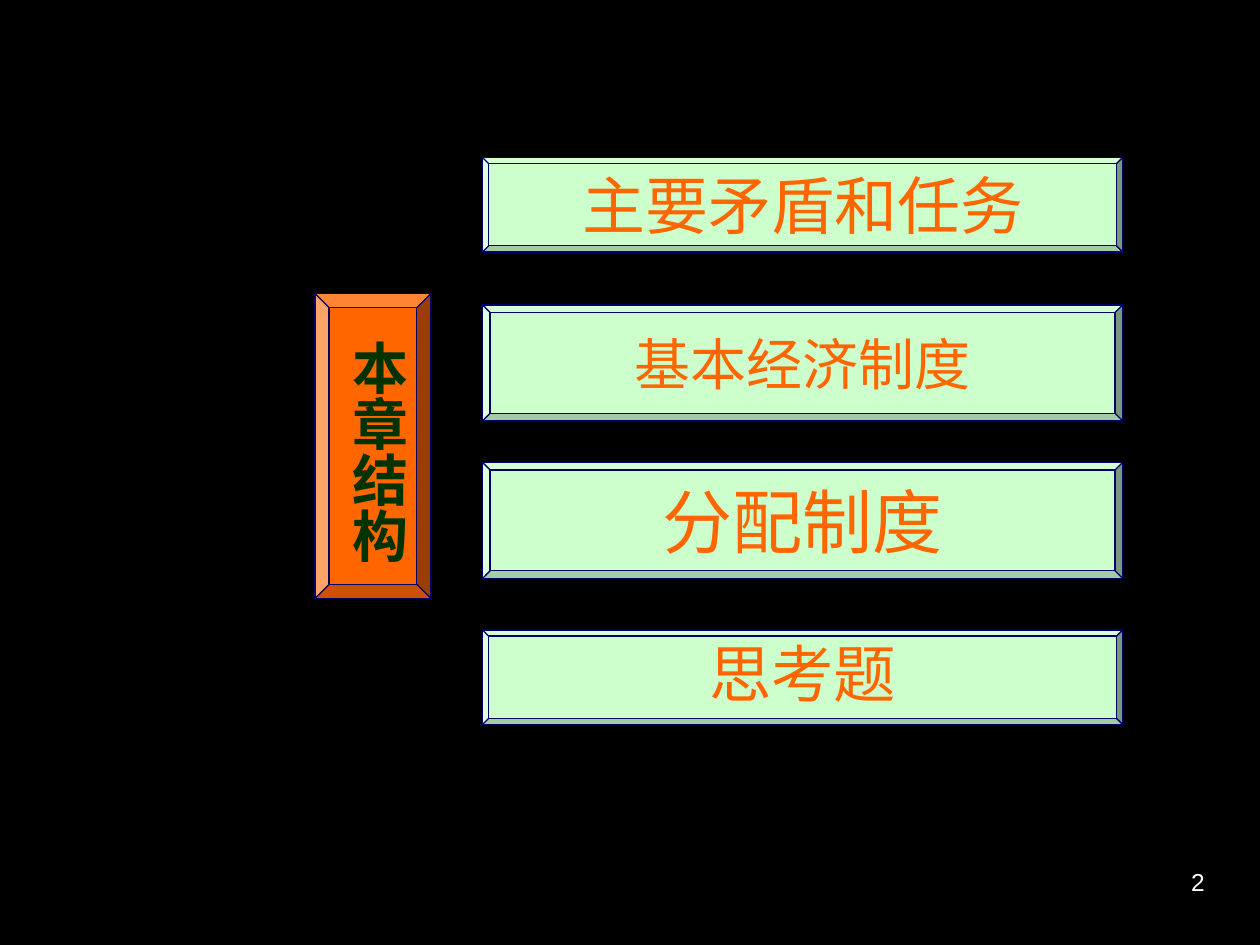
from dataclasses import dataclass

import pptx
import pptx.dml.color
import pptx.enum.shapes
import pptx.enum.text
import pptx.oxml.ns
import pptx.util
from lxml import etree
from pptx.util import Inches

COLORS = {
    "background": "000000",
    "chapter": "FF6600",
    "chapter_text": "003300",
    "topic": "CCFFCC",
    "topic_text": "FF6600",
    "outline": "000066",
    "number": "FFFFFF",
}
LATIN_FONT = "Arial"
CJK_FONT = "Noto Sans CJK SC"
ALIGN = pptx.enum.text.PP_ALIGN
TOPIC_LEFT, TOPIC_WIDTH = 3.83, 5.08


@dataclass
class Topic:
    text: str
    top: float
    height: float
    size: float
    line_spacing: float = 1.0


TOPICS = [
    Topic("主要矛盾和任务", 1.25, 0.75, 36),
    Topic("基本经济制度", 2.42, 0.92, 32),
    Topic("分配制度", 3.67, 0.92, 40),
    Topic("思考题", 5, 0.75, 35.7, 0.9),
]


def rgb(name: str) -> pptx.dml.color.RGBColor:
    return pptx.dml.color.RGBColor.from_string(COLORS[name])


def add_bevel(slide, left: float, top: float, width: float, height: float,
              fill: str, depth: float):
    """Add a bevelled block; depth is a share of its shorter side."""
    sp = slide.shapes.add_shape(
        pptx.enum.shapes.MSO_SHAPE.BEVEL,
        Inches(left), Inches(top), Inches(width), Inches(height))
    sp.adjustments[0] = depth
    sp.shadow.inherit = False
    sp.fill.solid()
    sp.fill.fore_color.rgb = rgb(fill)
    sp.line.color.rgb = rgb("outline")
    sp.line.width = pptx.util.Pt(0.75)
    return sp


def write(sp, text: str, size: float, color: str, font: str, align, bold: bool = False):
    """Write one formatted paragraph and return it."""
    p = sp.text_frame.paragraphs[0]
    p.text = text
    p.alignment = align
    r = p.runs[0]
    r.font.size = pptx.util.Pt(size)
    r.font.bold = bold
    r.font.color.rgb = rgb(color)
    r.font.name = font
    ea = etree.SubElement(r.font._element, pptx.oxml.ns.qn("a:ea"))
    ea.set("typeface", CJK_FONT)
    return p


def add_topic(slide, topic: Topic) -> None:
    sp = add_bevel(slide, TOPIC_LEFT, topic.top, TOPIC_WIDTH, topic.height,
                   "topic", 0.065)
    tf = sp.text_frame
    tf.word_wrap = True
    tf.vertical_anchor = pptx.enum.text.MSO_ANCHOR.MIDDLE
    p = write(sp, topic.text, topic.size, "topic_text", CJK_FONT, ALIGN.CENTER)
    p.line_spacing = topic.line_spacing


def add_chapter_title(slide) -> None:
    add_bevel(slide, 2.5, 2.33, 0.92, 2.42, "chapter", 0.122)
    sp = slide.shapes.add_textbox(Inches(2.59), Inches(2.6), Inches(0.73), Inches(1.88))
    tf = sp.text_frame
    tf.word_wrap = False
    tf.auto_size = pptx.enum.text.MSO_AUTO_SIZE.SHAPE_TO_FIT_TEXT
    tf.margin_left = tf.margin_right = Inches(0.05)
    tf.margin_top = tf.margin_bottom = Inches(0.1)
    tf._txBody.bodyPr.set("vert", "eaVert")
    write(sp, "本章结构", 32, "chapter_text", LATIN_FONT, ALIGN.LEFT, bold=True)


def add_slide_number(slide) -> None:
    sp = slide.shapes.add_textbox(Inches(7.58), Inches(6.83), Inches(2.08), Inches(0.5))
    sp.text_frame.word_wrap = True
    write(sp, "2", 14, "number", LATIN_FONT, ALIGN.RIGHT)


def main() -> None:
    prs = pptx.Presentation()
    prs.slide_width, prs.slide_height = Inches(10), Inches(7.5)
    s = prs.slides.add_slide(prs.slide_layouts[6])
    s.background.fill.solid()
    s.background.fill.fore_color.rgb = rgb("background")

    # Slide number
    add_slide_number(s)
    # Topics of the chapter
    for topic in TOPICS:
        add_topic(s, topic)
    # Vertical chapter title
    add_chapter_title(s)

    prs.save("out.pptx")


if __name__ == "__main__":
    main()
